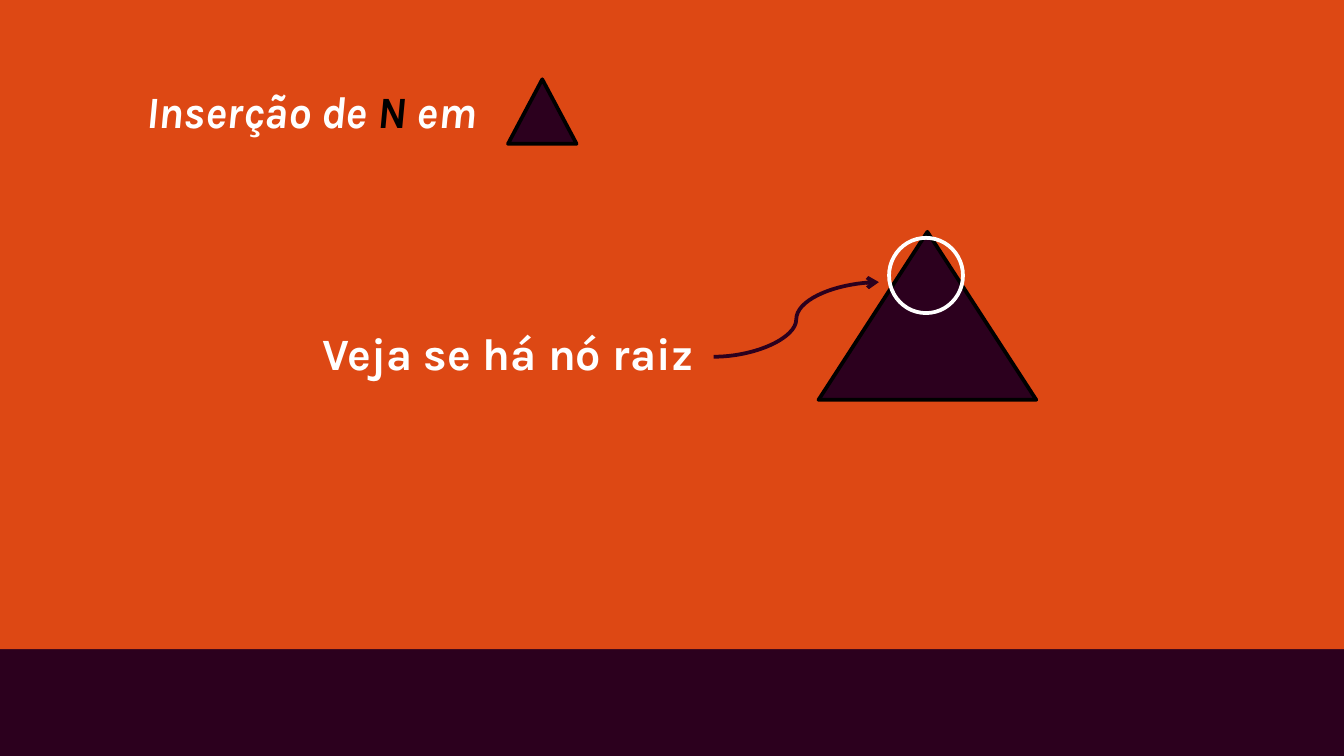
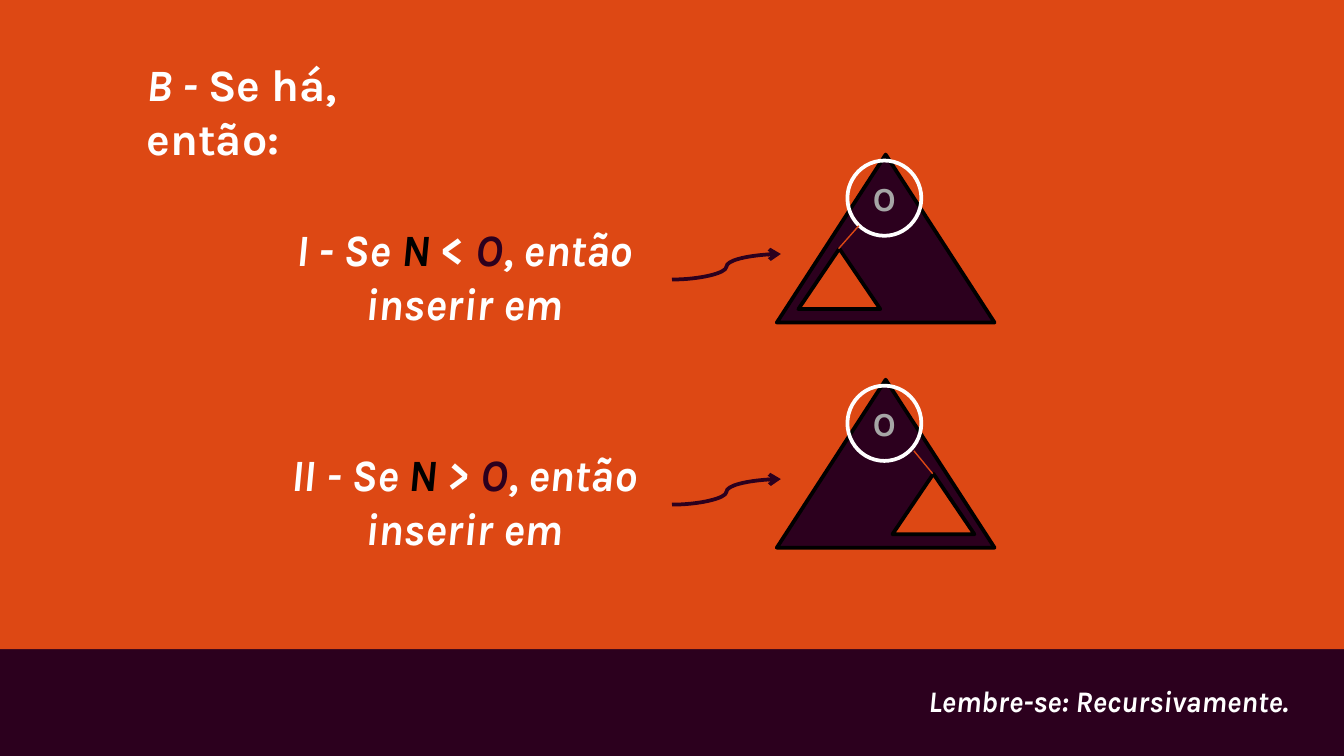
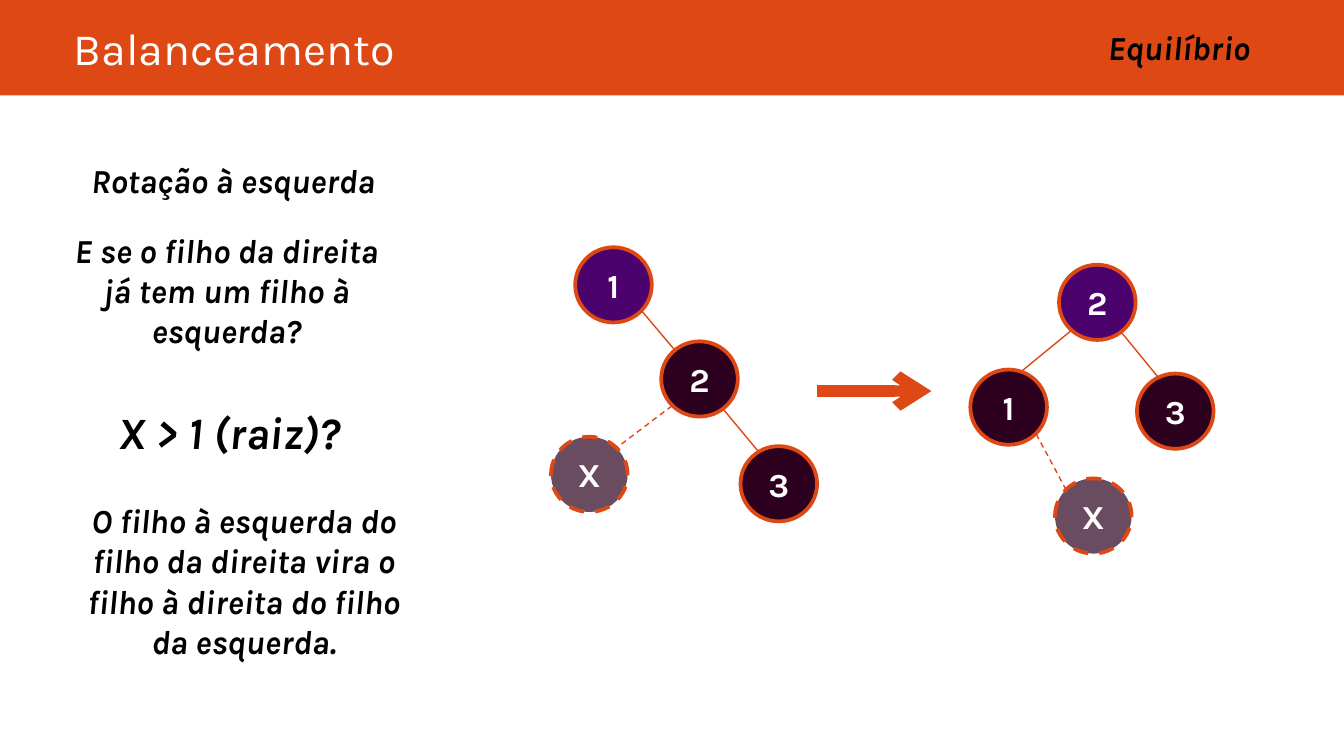
from lxml import etree
from pptx import Presentation
from pptx.dml.color import RGBColor
from pptx.enum.dml import MSO_LINE
from pptx.enum.shapes import MSO_CONNECTOR, MSO_SHAPE
from pptx.enum.text import MSO_ANCHOR, MSO_AUTO_SIZE, PP_ALIGN
from pptx.oxml.ns import qn
from pptx.util import Inches, Pt

ORANGE = RGBColor(0xDD, 0x48, 0x14)
AUBERGINE = RGBColor(0x2C, 0x00, 0x1E)
PURPLE = RGBColor(0x4B, 0x02, 0x6D)
WHITE = RGBColor(0xFF, 0xFF, 0xFF)
BLACK = RGBColor(0x00, 0x00, 0x00)
GRAY = RGBColor(0xA6, 0xA6, 0xA6)

RECT, TRIANGLE, OVAL = MSO_SHAPE.RECTANGLE, MSO_SHAPE.ISOSCELES_TRIANGLE, MSO_SHAPE.OVAL
STRAIGHT, CURVE = MSO_CONNECTOR.STRAIGHT, MSO_CONNECTOR.CURVE
LEFT, CENTER, RIGHT = PP_ALIGN.LEFT, PP_ALIGN.CENTER, PP_ALIGN.RIGHT
TOP, MIDDLE = MSO_ANCHOR.TOP, MSO_ANCHOR.MIDDLE
DASH = MSO_LINE.DASH

FONT = "Karla"
GRID = Inches(0.1)
COLS, ROWS = 100, 56.25
TITLE_ONLY = 5


def cells(*values):
    return [round(GRID * v) for v in values]


def write(shape, lines, size, align=LEFT, anchor=MIDDLE, bold=True):
    tf = shape.text_frame
    tf.word_wrap = True
    tf.auto_size = MSO_AUTO_SIZE.NONE
    tf.vertical_anchor = anchor
    for i, runs in enumerate(lines):
        p = tf.add_paragraph() if i else tf.paragraphs[0]
        p.alignment = align
        for text, color, italic in runs:
            r = p.add_run()
            r.text = text
            r.font.name, r.font.size = FONT, Pt(size)
            r.font.bold, r.font.italic = bold, italic
            r.font.color.rgb = color


def add_text(s, box, lines, size, **style):
    write(s.shapes.add_textbox(*cells(*box)), lines, size, **style)


def add_title(s, box, runs, bold=True):
    title = s.shapes.title
    title.left, title.top, title.width, title.height = cells(*box)
    write(title, [runs], 24, bold=bold)


def add_shape(s, kind, box, fill=None, line=None):
    sp = s.shapes.add_shape(kind, *cells(*box))
    sp.shadow.inherit = False
    if fill is None:
        sp.fill.background()
    else:
        sp.fill.solid()
        sp.fill.fore_color.rgb = fill
    if line is None:
        sp.line.fill.background()
    else:
        sp.line.color.rgb = line
        sp.line.width = Pt(2)
    return sp


def add_line(s, ends, color=ORANGE, width=0.75, kind=STRAIGHT, arrow=False, dash=None):
    line = s.shapes.add_connector(kind, *cells(*ends))
    line.line.color.rgb = color
    line.line.width = Pt(width)
    if dash:
        line.line.dash_style = dash
    if arrow:
        etree.SubElement(line.line._get_or_add_ln(), qn("a:tailEnd"), type="arrow")
    etree.SubElement(line._element.spPr, qn("a:effectLst"))


def add_slide(prs, background, band_height):
    s = prs.slides.add_slide(prs.slide_layouts[TITLE_ONLY])
    s.background.fill.solid()
    s.background.fill.fore_color.rgb = background
    band = add_shape(s, RECT, (0, 0, COLS, band_height), ORANGE)
    s.shapes._spTree.insert(2, band._element)
    return s


def add_tree(s, left, top, root=None):
    add_shape(s, TRIANGLE, (left, top, 16.2, 12.5), AUBERGINE, BLACK)
    ring = add_shape(s, OVAL, (left + 5.25, top + 0.45, 5.5, 5.6), line=WHITE)
    if root:
        write(ring, [[(root, GRAY, False)]], 18, CENTER)


def add_case(s, top, condition, subtree_left, branch):
    start, end = branch
    add_text(s, (19.3, top + 5.45, 30.5, 7.1),
             [condition, [("inserir em", WHITE, True)]], 24, align=CENTER)
    add_tree(s, 57.8, top, "O")
    add_line(s, (50, top + 9.3, 58.1, top + 7.4), AUBERGINE, 2, CURVE, arrow=True)
    add_shape(s, TRIANGLE, (subtree_left, top + 7, 6.1, 4.5), ORANGE, BLACK)
    add_line(s, (start, top + 5.3, end, top + 7))


def add_node(s, label, left, top, fill=AUBERGINE):
    node = add_shape(s, OVAL, (left, top, 5.7, 5.6), fill, ORANGE)
    write(node, [[(label, WHITE, False)]], 18, CENTER)
    if label == "X":
        node.line.dash_style = DASH
        color = node._element.spPr.find(qn("a:solidFill"))[0]
        etree.SubElement(color, qn("a:alpha"), val="70000")


def add_graph(s, edges, dashed_edge, nodes):
    for edge in edges:
        add_line(s, edge)
    add_line(s, dashed_edge, dash=DASH)
    for node in nodes:
        add_node(s, *node)


def root_slide(prs):
    s = add_slide(prs, AUBERGINE, 48.3)
    add_title(s, (9.9, 4.7, 28.7, 7.1),
              [("Inserção de ", WHITE, True), ("N", BLACK, True), (" em", WHITE, True)])
    add_shape(s, TRIANGLE, (37.8, 5.9, 5.1, 4.8), AUBERGINE, BLACK)
    add_text(s, (23, 22.7, 30.5, 7.1), [[("Veja se há nó raiz", WHITE, False)]], 24)
    add_tree(s, 60.9, 17.25)
    add_line(s, (53.1, 26.55, 65.4, 21), AUBERGINE, 2, CURVE, arrow=True)


def cases_slide(prs):
    s = add_slide(prs, AUBERGINE, 48.3)
    add_title(s, (9.9, 4.7, 26.3, 7.1),
              [("B - ", WHITE, True), ("Se há, então:", WHITE, False)])
    add_case(s, 11.5,
             [("I - Se ", WHITE, True), ("N ", BLACK, True), ("< ", WHITE, False),
              ("O", AUBERGINE, True), (", então", WHITE, True)],
             59.4, (63.9, 62.4))
    add_case(s, 28.25,
             [("II - Se ", WHITE, True), ("N", BLACK, True), (" > ", WHITE, True),
              ("O", AUBERGINE, True), (", então", WHITE, True)],
             66.4, (68, 69.4))
    add_text(s, (68.1, 49.7, 30.7, 4.9),
             [[("Lembre-se: Recursivamente.", WHITE, True)]], 16)


def rotation_slide(prs):
    s = add_slide(prs, WHITE, 7.1)
    add_title(s, (4.5, 0, 90.5, 7.1), [("Balanceamento", WHITE, False)], bold=False)
    notes = [
        ("Equilíbrio", 67.9, 1.5, 4, 18, RIGHT),
        ("Rotação à esquerda", 4.3, 11.4, 4, 18, CENTER),
        ("E se o filho da direita já tem um filho à esquerda?", 3.8, 16.6, 10, 18, CENTER),
        ("X > 1 (raiz)?", 4, 29.6, 5, 24, CENTER),
        ("O filho à esquerda do filho da direita vira o filho à direita do filho da esquerda.",
         5.1, 36.7, 13, 18, CENTER),
    ]
    for text, left, top, height, size, align in notes:
        add_text(s, (left, top, 26.1, height), [[(text, BLACK, True)]], size,
                 align=align, anchor=TOP)
    add_graph(s,
              [(47.8, 23.2, 53.8, 30.3), (50.7, 26.7, 56.6, 33.8)],
              (50, 30.2, 45.9, 33.3),
              [("1", 42.8, 18.4, PURPLE), ("2", 49.2, 25.4),
               ("3", 55.1, 33.2), ("X", 41, 32.5)])
    add_line(s, (60.8, 29.1, 69.3, 29.1), width=6, arrow=True)
    add_graph(s,
              [(74.7, 28.7, 81.9, 22.8), (80.3, 20.9, 86.2, 28.1)],
              (77.1, 32.3, 79.3, 36.4),
              [("1", 72.2, 27.5), ("2", 78.8, 19.7, PURPLE),
               ("3", 84.6, 27.8), ("X", 78.5, 35.6)])


def main():
    prs = Presentation()
    prs.slide_width, prs.slide_height = cells(COLS, ROWS)
    root_slide(prs)
    cases_slide(prs)
    rotation_slide(prs)
    prs.save("out.pptx")


if __name__ == "__main__":
    main()
